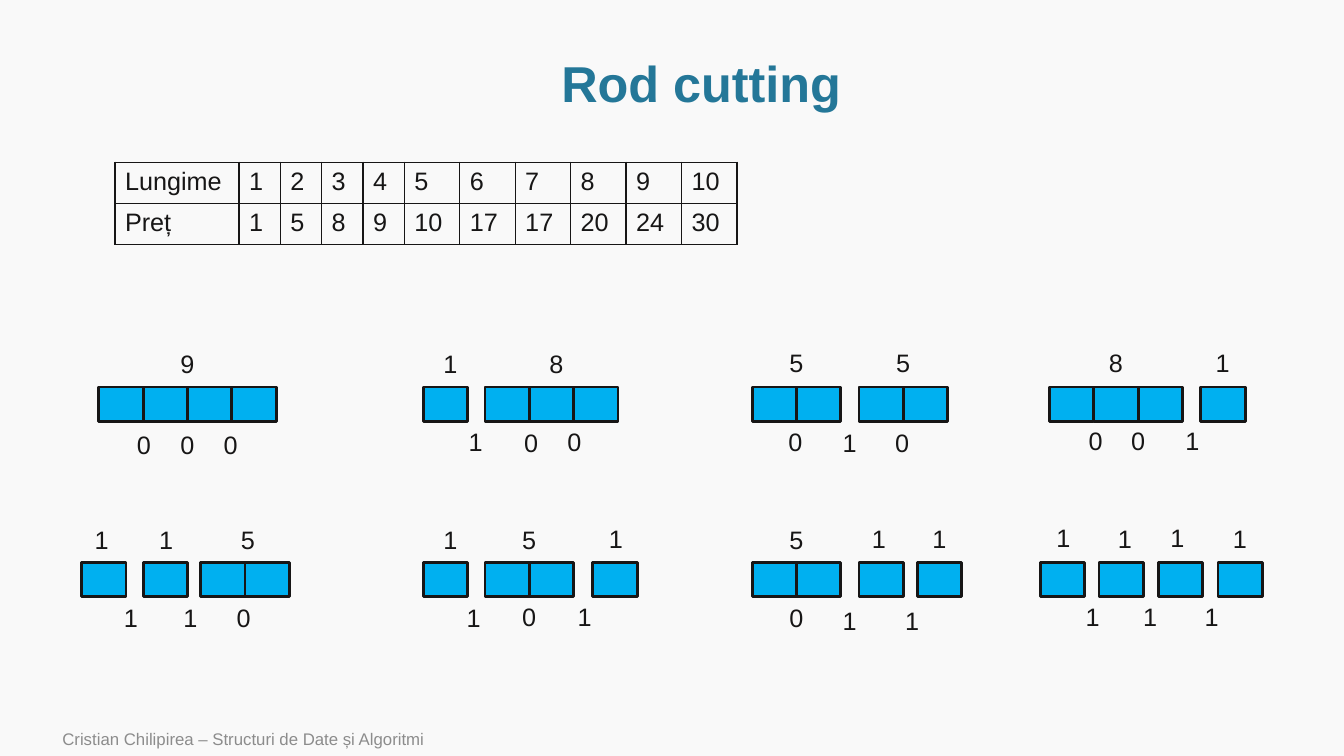
import pptx
import pptx.util
import pptx.dml.color
import pptx.enum.shapes
import pptx.enum.text
from lxml import etree

Inches = pptx.util.Inches
Pt = pptx.util.Pt
RGBColor = pptx.dml.color.RGBColor
Align = pptx.enum.text.PP_ALIGN
Anchor = pptx.enum.text.MSO_ANCHOR

PAPER = RGBColor(0xF9, 0xF9, 0xF9)
INK = RGBColor(0x17, 0x16, 0x16)
TEAL = RGBColor(0x24, 0x77, 0x98)
BLUE = RGBColor(0x00, 0xB0, 0xF0)
GRAY = RGBColor(0x8C, 0x8C, 0x8C)
NS = "http://schemas.openxmlformats.org/drawingml/2006/main"

LENGTHS = ["Lungime", 1, 2, 3, 4, 5, 6, 7, 8, 9, 10]
PRICES = ["Preț", 1, 5, 8, 9, 10, 17, 17, 20, 24, 30]
WIDTHS = [1.23] + [0.41] * 4 + [0.55] * 6

# Each cutting: pieces (left, units), prices above and cut bits below
# (text, left, top)
UPPER = [
    ([(0.98, 4)],
     [(9, 1.69, 3.41)],
     [(0, 1.26, 4.21), (0, 1.69, 4.21), (0, 2.12, 4.21)]),
    ([(4.2, 1), (4.81, 3)],
     [(1, 4.3, 3.41), (8, 5.35, 3.41)],
     [(1, 4.55, 4.18), (0, 5.1, 4.19), (0, 5.53, 4.18)]),
    ([(7.46, 2), (8.52, 2)],
     [(5, 7.73, 3.4), (5, 8.79, 3.4)],
     [(0, 7.72, 4.18), (1, 8.26, 4.19), (0, 8.78, 4.19)]),
    ([(10.41, 3), (11.91, 1)],
     [(8, 10.9, 3.4), (1, 11.96, 3.4)],
     [(0, 10.7, 4.17), (0, 11.12, 4.17), (1, 11.66, 4.17)]),
]
LOWER = [
    ([(0.81, 1), (1.42, 1), (1.99, 2)],
     [(1, 0.84, 5.15), (1, 1.48, 5.15), (5, 2.29, 5.15)],
     [(1, 1.13, 5.93), (1, 1.72, 5.93), (0, 2.25, 5.93)]),
    ([(4.2, 1), (4.81, 2), (5.88, 1)],
     [(1, 4.3, 5.15), (5, 5.08, 5.15), (1, 5.94, 5.14)],
     [(1, 4.53, 5.93), (0, 5.08, 5.92), (1, 5.63, 5.92)]),
    ([(7.46, 2), (8.52, 1), (9.1, 1)],
     [(5, 7.73, 5.15), (1, 8.55, 5.14), (1, 9.15, 5.14)],
     [(0, 7.73, 5.93), (1, 8.26, 5.96), (1, 8.88, 5.96)]),
    ([(10.32, 1), (10.9, 1), (11.49, 1), (12.08, 1)],
     [(1, 10.38, 5.13), (1, 10.99, 5.14), (1, 11.51, 5.13),
      (1, 12.13, 5.14)],
     [(1, 10.67, 5.92), (1, 11.24, 5.92), (1, 11.85, 5.92)]),
]


def write(frame, text, size=18, color=INK, bold=False, align=Align.LEFT):
    para = frame.paragraphs[0]
    para.alignment = align
    run = para.add_run()
    run.text = str(text)
    run.font.name = "Arial"
    run.font.size = Pt(size)
    run.font.bold = bold
    run.font.color.rgb = color
    return para


class Deck:
    unit = 0.44
    high = 0.34

    def __init__(self):
        self.show = pptx.Presentation()
        self.show.slide_width = Inches(13.33)
        self.show.slide_height = Inches(7.5)
        self.slide = self.show.slides.add_slide(self.show.slide_layouts[5])
        self.slide.background.fill.solid()
        self.slide.background.fill.fore_color.rgb = PAPER

    def title(self, text, left, top, width, height):
        box = self.slide.shapes.title
        box.left, box.top = Inches(left), Inches(top)
        box.width, box.height = Inches(width), Inches(height)
        box.text_frame.vertical_anchor = Anchor.MIDDLE
        para = write(box.text_frame, text, size=36, color=TEAL, bold=True,
                     align=Align.CENTER)
        para.line_spacing = 0.9

    def footer(self, text, left, top, width, height):
        box = self.slide.shapes.add_textbox(
            Inches(left), Inches(top), Inches(width), Inches(height))
        box.text_frame.word_wrap = True
        box.text_frame.vertical_anchor = Anchor.MIDDLE
        write(box.text_frame, text, size=12, color=GRAY)

    def label(self, text, left, top, fill=None):
        box = self.slide.shapes.add_textbox(
            Inches(left), Inches(top), Inches(0.34), Inches(0.4))
        if fill is not None:
            box.fill.solid()
            box.fill.fore_color.rgb = fill
        box.text_frame.word_wrap = False
        box.text_frame.auto_size = pptx.enum.text.MSO_AUTO_SIZE.SHAPE_TO_FIT_TEXT
        write(box.text_frame, text)

    def piece(self, left, top, count):
        for i in range(count):
            box = self.slide.shapes.add_shape(
                pptx.enum.shapes.MSO_SHAPE.RECTANGLE,
                Inches(left + i * self.unit), Inches(top),
                Inches(self.unit), Inches(self.high))
            box.shadow.inherit = False
            box.fill.solid()
            box.fill.fore_color.rgb = BLUE
            box.line.color.rgb = INK
            box.line.width = Pt(2)

    def border(self, cell):
        props = cell._tc.get_or_add_tcPr()
        for side in ("lnL", "lnR", "lnT", "lnB"):
            line = etree.SubElement(props, f"{{{NS}}}{side}", w=str(Pt(1)))
            fill = etree.SubElement(line, f"{{{NS}}}solidFill")
            etree.SubElement(fill, f"{{{NS}}}srgbClr", val=str(INK))

    def table(self, rows, widths, left, top, height):
        table = self.slide.shapes.add_table(
            len(rows), len(widths), Inches(left), Inches(top),
            Inches(sum(widths)), Inches(height * len(rows))).table
        table.first_row = table.horz_banding = False
        for col, width in zip(table.columns, widths):
            col.width = Inches(width)
        for r, row in enumerate(rows):
            table.rows[r].height = Inches(height)
            for c, text in enumerate(row):
                cell = table.cell(r, c)
                self.border(cell)
                cell.fill.background()
                write(cell.text_frame, text)

    def cuts(self, groups, top, fill=None):
        for pieces, prices, bits in groups:
            for left, count in pieces:
                self.piece(left, top, count)
            for price in prices:
                self.label(*price, fill=fill)
            for bit in bits:
                self.label(*bit)


def main():
    deck = Deck()
    # Heading and footer
    deck.title("Rod cutting", 1.14, 0.51, 11.63, 0.69)
    deck.footer("Cristian Chilipirea – Structuri de Date și Algoritmi",
                0.52, 7.16, 8.4, 0.34)
    # Price table
    deck.table([LENGTHS, PRICES], WIDTHS, 1.14, 1.61, 0.41)
    # Eight ways to cut a rod of length four
    deck.cuts(UPPER, 3.84)
    deck.cuts(LOWER, 5.58, fill=PAPER)
    deck.show.save("out.pptx")


if __name__ == "__main__":
    main()
